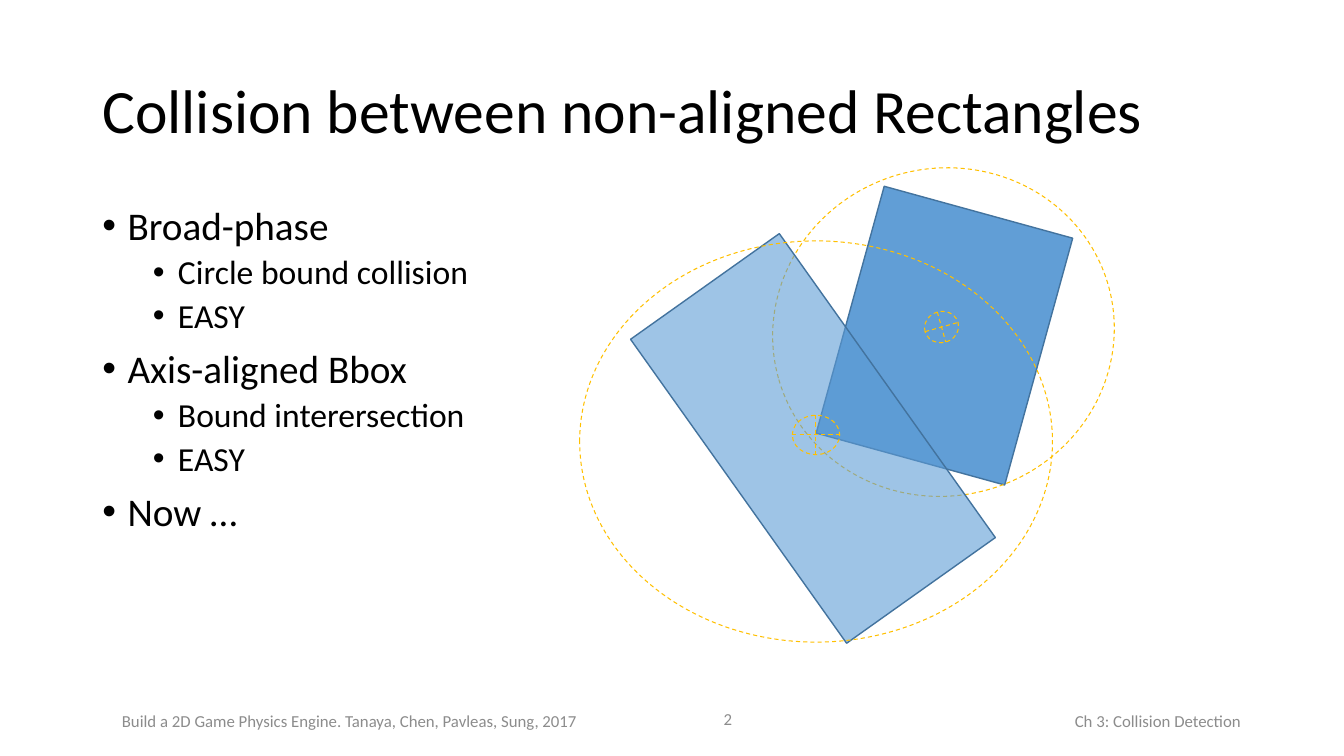
from lxml.etree import SubElement
from pptx import Presentation
from pptx.dml.color import RGBColor
from pptx.enum.dml import MSO_LINE
from pptx.enum.shapes import MSO_SHAPE as Geometry
from pptx.enum.text import MSO_ANCHOR as Anchor, PP_ALIGN as Align
from pptx.oxml.ns import qn
from pptx.util import Inches, Pt

BLACK = RGBColor(0x00, 0x00, 0x00)
GREY = RGBColor(0x8C, 0x8C, 0x8C)
BLUE = RGBColor(0x5B, 0x9B, 0xD5)
NAVY = RGBColor(0x43, 0x73, 0x9E)
GOLD = RGBColor(0xFF, 0xC0, 0x00)
FONT = "Calibri"

# Content: boxes are (left, top, width, height) in percent of the slide
TITLE = "Collision between non-aligned Rectangles"
TITLE_BOX = (6.88, 5.33, 86.25, 19.33)
OUTLINE = [
    ("Broad-phase", ["Circle bound collision", "EASY"]),
    ("Axis-aligned Bbox", ["Bound interersection", "EASY"]),
    ("Now …", []),
]
OUTLINE_BOX = (6.88, 26.67, 86.25, 63.47)
FOOTERS = [
    ("Ch 3: Collision Detection", (57, 92.67, 36.08, 5.33), Align.RIGHT),
    ("Build a 2D Game Physics Engine. Tanaya, Chen, Pavleas, Sung, 2017",
     (8.33, 92.67, 37.88, 5.33), Align.LEFT),
    ("2", (46.28, 92.4, 8.93, 5.33), Align.RIGHT),
]
# Outline levels: font size, space before, left indent in inches
LEVELS = [(28, 10, 0.25), (24, 5, 0.75)]
HANGING = 0.25
# Each body: a rectangle, its bounding circle and its centre mark
BODIES = [
    dict(rectangle=(63, 27.47, 14.55, 33.87), turn=15.4, opacity=96,
         bound=(57.45, 22.27, 25.5, 43.33),
         centre=(68.78, 41.2, 2.55, 4.13), bound_turn=344.4),
    dict(rectangle=(53.7, 33.33, 13.58, 49.33), turn=324.6, opacity=59,
         bound=(43.13, 31.87, 35.18, 53.07),
         centre=(58.95, 54.93, 3.53, 5.2), bound_turn=0),
]

deck = Presentation()
deck.slide_width, deck.slide_height = Inches(13.33), Inches(7.5)
slide = deck.slides.add_slide(deck.slide_layouts[6])


def place(box):
    sides = (deck.slide_width, deck.slide_height) * 2
    return [int(side * share / 100) for side, share in zip(sides, box)]


def write(box, lines, *, size=12, color=BLACK, align=Align.LEFT,
          anchor=Anchor.MIDDLE, spacing=1.0, bullets=False):
    """Lines are (level, text) pairs; bullets takes sizes from LEVELS."""
    frame = slide.shapes.add_textbox(*place(box)).text_frame
    frame.word_wrap, frame.vertical_anchor = True, anchor
    for index, (level, words) in enumerate(lines):
        paragraph = frame.add_paragraph() if index else frame.paragraphs[0]
        paragraph.alignment, paragraph.level = align, level
        paragraph.line_spacing = spacing
        points = size
        if bullets:
            points, before, indent = LEVELS[level]
            paragraph.space_before = Pt(before if index else 0)
            props = paragraph._p.get_or_add_pPr()
            props.set("marL", str(Inches(indent)))
            props.set("indent", str(-Inches(HANGING)))
            SubElement(props, qn("a:buFont")).set("typeface", "Arial")
            SubElement(props, qn("a:buChar")).set("char", "•")
        run = paragraph.add_run()
        run.text = words
        run.font.name, run.font.size = FONT, Pt(points)
        run.font.color.rgb = color


def draw(group, geometry, box, *, turn, line, weight, opacity=None):
    """Without an opacity the shape is a dashed, unfilled outline."""
    shape = group.shapes.add_shape(geometry, *place(box))
    shape.shadow.inherit = False
    shape.rotation = turn
    shape.line.color.rgb, shape.line.width = line, Pt(weight)
    if opacity is None:
        shape.fill.background()
        shape.line.dash_style = MSO_LINE.DASH
    else:
        shape.fill.solid()
        shape.fill.fore_color.rgb = BLUE
        tint = shape.fill._xPr.find(qn("a:solidFill"))[0]
        SubElement(tint, qn("a:alpha")).set("val", str(opacity * 1000))


# Footer, title and outline
for words, box, align in FOOTERS:
    write(box, [(0, words)], color=GREY, align=align)
write(TITLE_BOX, [(0, TITLE)], size=44, spacing=0.9)
outline_lines = []
for topic, details in OUTLINE:
    outline_lines += [(0, topic)] + [(1, detail) for detail in details]
write(OUTLINE_BOX, outline_lines, anchor=Anchor.TOP, spacing=0.9, bullets=True)

# Colliding bodies
for body in BODIES:
    group = slide.shapes.add_group_shape()
    draw(group, Geometry.RECTANGLE, body["rectangle"], turn=body["turn"],
         line=NAVY, weight=1, opacity=body["opacity"])
    for geometry, part in ((Geometry.OVAL, "bound"),
                           (Geometry.FLOWCHART_OR, "centre")):
        draw(group, geometry, body[part], turn=body["bound_turn"],
             line=GOLD, weight=0.75)

deck.save("out.pptx")
